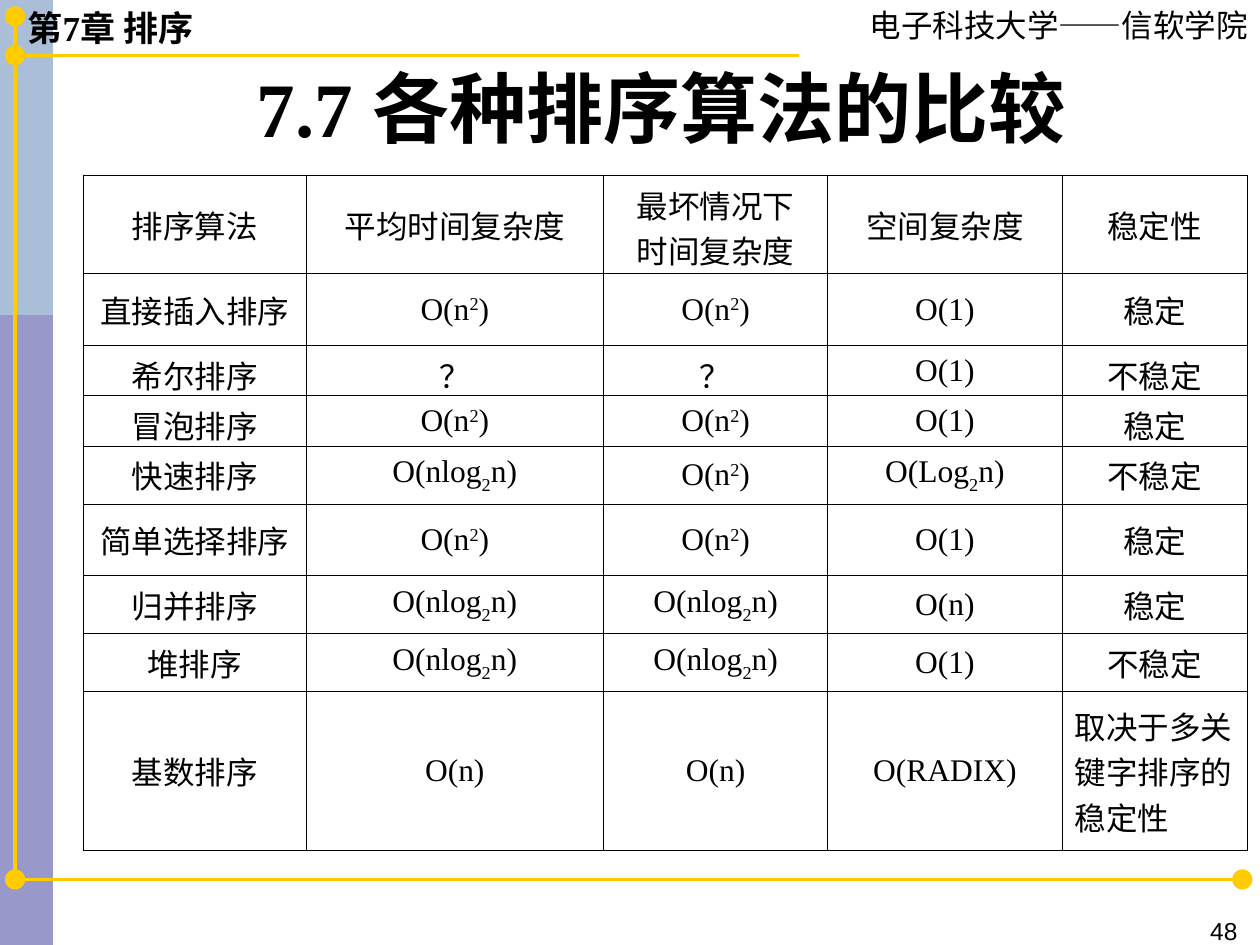
from dataclasses import dataclass

from lxml import etree
from pptx import Presentation
from pptx.dml.color import RGBColor
from pptx.enum.shapes import MSO_CONNECTOR, MSO_SHAPE
from pptx.enum.text import MSO_ANCHOR, PP_ALIGN
from pptx.oxml.ns import qn
from pptx.util import Inches, Pt

RECT, OVAL = MSO_SHAPE.RECTANGLE, MSO_SHAPE.OVAL
STRAIGHT = MSO_CONNECTOR.STRAIGHT
LEFT, CENTER, RIGHT = PP_ALIGN.LEFT, PP_ALIGN.CENTER, PP_ALIGN.RIGHT
TOP, MIDDLE = MSO_ANCHOR.TOP, MSO_ANCHOR.MIDDLE


@dataclass(frozen=True)
class Theme:
    ink: str = "000000"
    gold: str = "FFCC00"
    violet: str = "333399"
    aqua: str = "BBE0E3"
    serif: str = "Times New Roman"
    sans: str = "Arial"
    cjk: str = "Noto Sans CJK SC"
    title: int = 44
    chapter: int = 20
    body: int = 18
    number: int = 14
    rule: float = 2
    grid: float = 0.45


THEME = Theme()
SCRIPTS = {"^": 30000, "_": -30000}
COLS = [1.77, 2.36, 1.78, 1.86, 1.47]
HEIGHTS = [0.78, 0.57, 0.4, 0.4, 0.46, 0.57, 0.46, 0.46, 1.26]
ROWS = [
    ["排序算法", "平均时间复杂度", "最坏情况下\n时间复杂度", "空间复杂度", "稳定性"],
    ["直接插入排序", "O(n^2)", "O(n^2)", "O(1)", "稳定"],
    ["希尔排序", "？", "？", "O(1)", "不稳定"],
    ["冒泡排序", "O(n^2)", "O(n^2)", "O(1)", "稳定"],
    ["快速排序", "O(nlog_2n)", "O(n^2)", "O(Log_2n)", "不稳定"],
    ["简单选择排序", "O(n^2)", "O(n^2)", "O(1)", "稳定"],
    ["归并排序", "O(nlog_2n)", "O(nlog_2n)", "O(n)", "稳定"],
    ["堆排序", "O(nlog_2n)", "O(nlog_2n)", "O(1)", "不稳定"],
    ["基数排序", "O(n)", "O(n)", "O(RADIX)", "取决于多关键字排序的稳定性"],
]


def style(run, size, face, bold=False):
    font = run.font
    font.size, font.name, font.bold = Pt(size), face, bold
    font.color.rgb = RGBColor.from_string(THEME.ink)
    east = etree.Element(qn("a:ea"), typeface=THEME.cjk)
    font._element.find(qn("a:latin")).addnext(east)


def add_text(slide, box, text, size, face, align=LEFT, bold=False, anchor=TOP):
    frame = slide.shapes.add_textbox(*map(Inches, box)).text_frame
    frame.word_wrap, frame.vertical_anchor = True, anchor
    frame.text = text
    para = frame.paragraphs[0]
    para.alignment = align
    style(para.runs[0], size, face, bold)


def add_solid(slide, kind, box, color, alpha=100):
    shape = slide.shapes.add_shape(kind, *map(Inches, box))
    shape.shadow.inherit = False
    shape.line.fill.background()
    shape.fill.solid()
    shape.fill.fore_color.rgb = RGBColor.from_string(color)
    if alpha < 100:
        tint = shape._element.spPr.find(qn("a:solidFill"))[0]
        etree.SubElement(tint, qn("a:alpha"), val=str(alpha * 1000))


def add_rule(slide, start, end):
    line = slide.shapes.add_connector(STRAIGHT, *map(Inches, start + end))
    line.line.width = Pt(THEME.rule)
    line.line.color.rgb = RGBColor.from_string(THEME.gold)
    etree.SubElement(line._element.spPr, qn("a:effectLst"))


def add_dot(slide, x, y, size=0.16):
    box = x - size / 2, y - size / 2, size, size
    add_solid(slide, OVAL, box, THEME.gold)


def draw_frame(slide, box):
    """Side band with the gold rules and their end dots."""
    x, y, wide, high = box
    add_solid(slide, RECT, (x, y, 0.42, high), THEME.violet, 50)
    add_solid(slide, RECT, (x, y, 0.42, high / 3), THEME.aqua, 53)
    axis, cap, head, foot = x + 0.12, y + 0.13, y + 0.44, y + 6.98
    edge = x + wide - 0.14
    add_rule(slide, (axis, foot), (edge, foot))
    add_rule(slide, (axis, head), (x + 6.34, head))
    add_rule(slide, (axis, foot), (axis, cap))
    for spot in [(axis, cap), (axis, head), (axis, foot), (edge, foot)]:
        add_dot(slide, *spot)


def draw_head(slide, box):
    x, y, wide, high = box
    add_text(slide, (x + 0.12, y, 1.89, high), "第7章 排序",
             THEME.chapter, THEME.serif, bold=True)
    add_text(slide, (x + 6.34, y, wide - 6.34, high), "电子科技大学——信软学院",
             THEME.body, THEME.cjk, RIGHT)


def set_border(cell):
    props = cell._tc.get_or_add_tcPr()
    for side in ("lnL", "lnR", "lnT", "lnB"):
        line = etree.SubElement(props, qn(f"a:{side}"), w=str(Pt(THEME.grid)))
        fill = etree.SubElement(line, qn("a:solidFill"))
        etree.SubElement(fill, qn("a:srgbClr"), val=THEME.ink)


def fill_para(para, text):
    """Write text in which ^ or _ raises or lowers the next character."""
    mark = next((m for m in SCRIPTS if m in text), None)
    parts = [(text, 0)]
    if mark:
        base, _, rest = text.partition(mark)
        parts = [(base, 0), (rest[0], SCRIPTS[mark]), (rest[1:], 0)]
    for part, shift in parts:
        run = para.add_run()
        run.text = part
        style(run, THEME.body, THEME.serif)
        if shift:
            run.font._element.set("baseline", str(shift))


def fill_cell(cell, text, align):
    set_border(cell)
    cell.fill.background()
    cell.vertical_anchor = MIDDLE
    cell.margin_left = cell.margin_right = Inches(0.1)
    cell.margin_top = cell.margin_bottom = Inches(0.05)
    frame = cell.text_frame
    for i, line in enumerate(text.split("\n")):
        para = frame.add_paragraph() if i else frame.paragraphs[0]
        para.alignment = align
        fill_para(para, line)


def draw_table(slide, box):
    holder = slide.shapes.add_table(len(ROWS), len(COLS), *map(Inches, box))
    table = holder.table
    table.first_row = table.horz_banding = False
    for col, wide in zip(table.columns, COLS):
        col.width = Inches(wide)
    for row, high, texts in zip(table.rows, HEIGHTS, ROWS):
        row.height = Inches(high)
        for cell, text in zip(row.cells, texts):
            fill_cell(cell, text, LEFT if len(text) > 12 else CENTER)


def main():
    deck = Presentation()
    deck.slide_width, deck.slide_height = Inches(10), Inches(7.5)
    slide = deck.slides.add_slide(deck.slide_layouts[6])
    draw_frame(slide, (0, 0, 10, 7.5))
    draw_head(slide, (0, 0, 10, 0.44))
    add_text(slide, (7.28, 7.22, 2.64, 0.22), "48",
             THEME.number, THEME.sans, RIGHT)
    add_text(slide, (0.5, 0.3, 9.5, 1.09), "7.7 各种排序算法的比较",
             THEME.title, THEME.serif, CENTER, True, MIDDLE)
    draw_table(slide, (0.66, 1.39, sum(COLS), sum(HEIGHTS)))
    deck.save("out.pptx")


if __name__ == "__main__":
    main()
